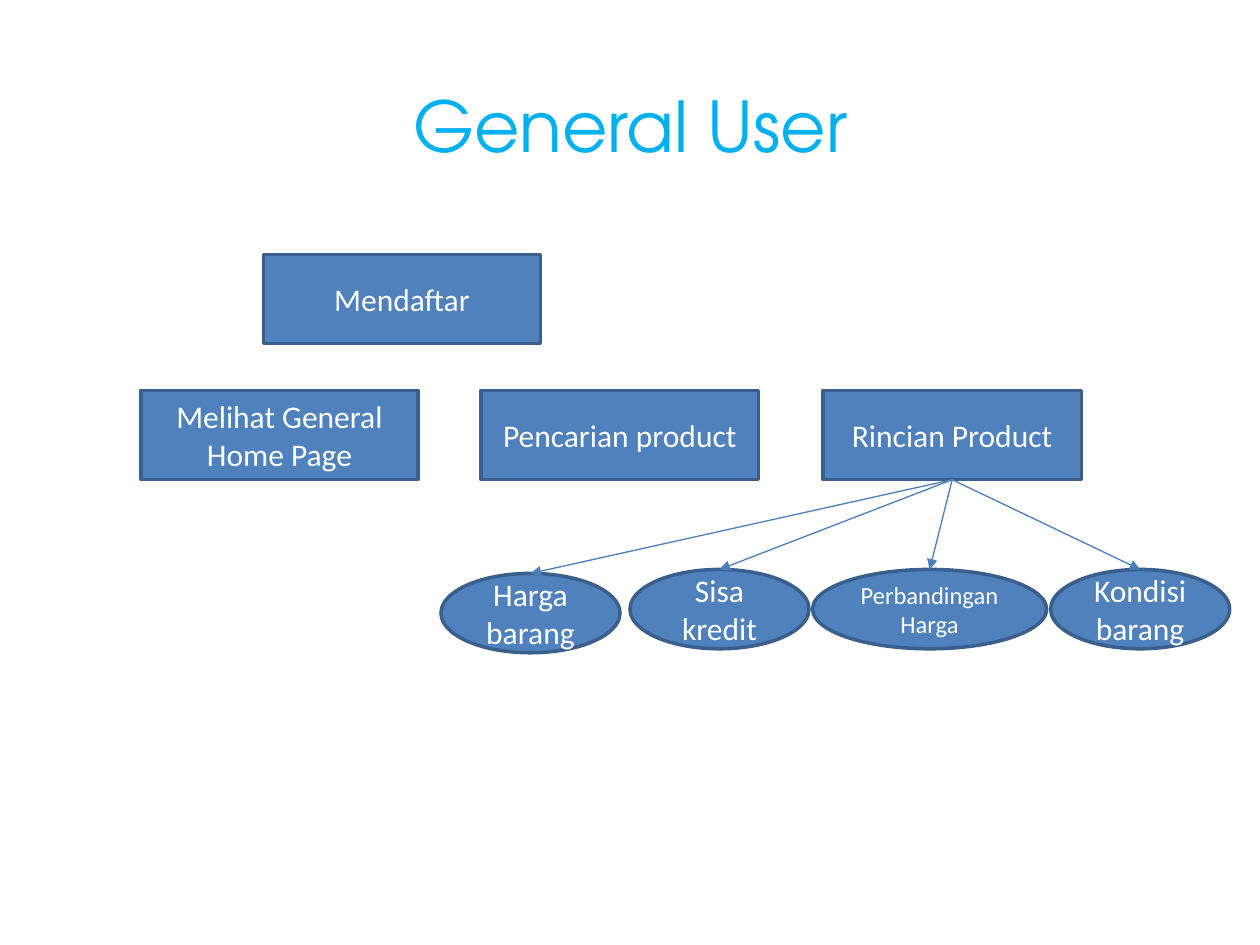
"""Build the General User feature diagram slide."""
from dataclasses import dataclass

from lxml.etree import SubElement
from pptx import Presentation
from pptx.dml.color import RGBColor
from pptx.enum.shapes import MSO_CONNECTOR, MSO_SHAPE
from pptx.enum.text import MSO_ANCHOR, MSO_AUTO_SIZE, PP_ALIGN
from pptx.oxml.ns import qn
from pptx.shapes.autoshape import Shape
from pptx.slide import Slide
from pptx.text.text import TextFrame
from pptx.util import Cm, Pt

HUES = {"title": "00B0F0", "fill": "4F81BD", "edge": "3A5F8C",
        "arrow": "4B7EBC", "text": "FFFFFF"}
BODY = "Calibri"
HEAD = "TeX Gyre Adventor"


@dataclass(frozen=True)
class Node:
    text: str
    left: float
    top: float
    width: float
    height: float
    form: MSO_SHAPE
    size: int = 18


def box(text: str, left: float, top: float = 7.87, width: float = 5.59) -> Node:
    return Node(text, left, top, width, 1.8, MSO_SHAPE.RECTANGLE)


def oval(text: str, left: float, top: float = 11.48, width: float = 3.61,
         size: int = 18) -> Node:
    return Node(text, left, top, width, 1.6, MSO_SHAPE.OVAL, size)


def hue(name: str) -> RGBColor:
    return RGBColor.from_string(HUES[name])


def write(frame: TextFrame, text: str, font: str, size: int, tint: str) -> None:
    frame.word_wrap = True
    frame.auto_size = MSO_AUTO_SIZE.NONE
    frame.vertical_anchor = MSO_ANCHOR.MIDDLE
    for place, line in enumerate(text.split("\n")):
        para = frame.add_paragraph() if place else frame.paragraphs[0]
        para.alignment = PP_ALIGN.CENTER
        run = para.add_run()
        run.text = line
        run.font.name = font
        run.font.size = Pt(size)
        run.font.color.rgb = hue(tint)


def draw(slide: Slide, node: Node) -> Shape:
    shape = slide.shapes.add_shape(node.form, Cm(node.left), Cm(node.top),
                                   Cm(node.width), Cm(node.height))
    shape.shadow.inherit = False
    shape.fill.solid()
    shape.fill.fore_color.rgb = hue("fill")
    shape.line.color.rgb = hue("edge")
    shape.line.width = Pt(2)
    write(shape.text_frame, node.text, BODY, node.size, "text")
    return shape


def link(slide: Slide, start: Shape, end: Shape) -> None:
    arrow = slide.shapes.add_connector(MSO_CONNECTOR.STRAIGHT, 0, 0, 0, 0)
    arrow.begin_connect(start, 2)
    arrow.end_connect(end, 0)
    arrow.line.color.rgb = hue("arrow")
    arrow.line.width = Pt(0.75)
    SubElement(arrow.line._get_or_add_ln(), qn("a:tailEnd"), type="triangle")
    SubElement(arrow._element.spPr, qn("a:effectLst"))


BOXES = [
    box("Mendaftar", 5.31, top=5.13),
    box("Melihat General Home Page", 2.84),
    box("Pencarian product", 9.7),
]
ROOT = box("Rincian Product", 16.59, width=5.21)
PARTS = [
    oval("Harga barang", 8.89, top=11.56),
    oval("Sisa kredit", 12.7),
    oval("Perbandingan\nHarga", 16.38, width=4.72, size=14),
    oval("Kondisi barang", 21.18),
]


def main() -> None:
    deck = Presentation()
    deck.slide_width, deck.slide_height = Cm(25.4), Cm(19.05)
    slide = deck.slides.add_slide(deck.slide_layouts[5])
    title = slide.shapes.title
    title.left, title.top = Cm(-0.3), Cm(1.32)
    title.width, title.height = Cm(26.01), Cm(2.39)
    write(title.text_frame, "General User", HEAD, 40, "title")
    for node in BOXES:
        draw(slide, node)
    root = draw(slide, ROOT)
    for part in PARTS:
        link(slide, root, draw(slide, part))
    deck.save("out.pptx")


main()
